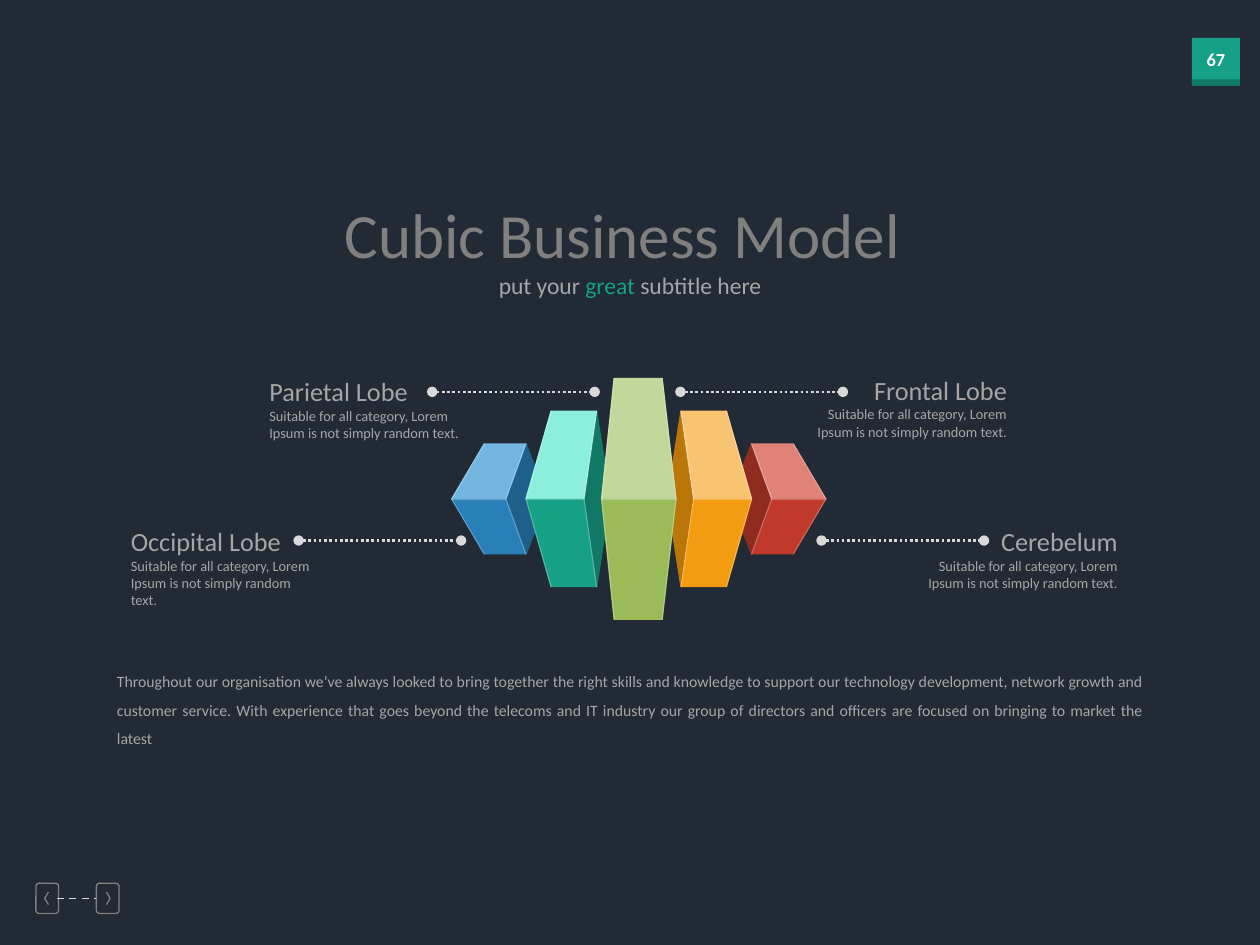
from lxml import etree
from pptx import Presentation
from pptx.dml.color import RGBColor
from pptx.enum.dml import MSO_LINE
from pptx.enum.shapes import MSO_CONNECTOR, MSO_SHAPE
from pptx.enum.text import MSO_ANCHOR, MSO_AUTO_SIZE, PP_ALIGN
from pptx.oxml.ns import qn
from pptx.util import Inches, Pt

LEFT, CENTER, RIGHT, JUSTIFY = PP_ALIGN.LEFT, PP_ALIGN.CENTER, PP_ALIGN.RIGHT, PP_ALIGN.JUSTIFY
DOTTED, DASHED = MSO_LINE.ROUND_DOT, MSO_LINE.DASH

NIGHT = RGBColor(0x22, 0x2A, 0x35)
WHITE = RGBColor(0xFF, 0xFF, 0xFF)
PALE = RGBColor(0xD9, 0xD9, 0xD9)
SILVER = RGBColor(0xA6, 0xA6, 0xA6)
GRAY = RGBColor(0x80, 0x80, 0x80)
GREEN = RGBColor(0x16, 0xA0, 0x85)
DARK_GREEN = RGBColor(0x10, 0x78, 0x64)
MINT = RGBColor(0x8C, 0xEF, 0xDC)
BLUE = RGBColor(0x29, 0x80, 0xB9)
DARK_BLUE = RGBColor(0x1F, 0x60, 0x8B)
SKY = RGBColor(0x74, 0xB5, 0xE0)
RED = RGBColor(0xC0, 0x39, 0x2B)
DARK_RED = RGBColor(0x90, 0x2B, 0x20)
ROSE = RGBColor(0xE1, 0x82, 0x78)
ORANGE = RGBColor(0xF3, 0x9C, 0x12)
DARK_ORANGE = RGBColor(0xBA, 0x76, 0x09)
SAND = RGBColor(0xF8, 0xC4, 0x71)
LIME = RGBColor(0x9B, 0xBB, 0x59)
LIGHT_LIME = RGBColor(0xC3, 0xD6, 0x9B)

FONT = "Calibri"
AXIS, MIDDLE = 5.07, 3.96  # centre of the cubes
EDGE = 0.01  # width of a highlight
BLURB = "Suitable for all category, Lorem Ipsum is not simply random text."
STORY = (
    "Throughout our organisation we’ve always looked to bring together the right skills and "
    "knowledge to support our technology development, network growth and customer service. "
    "With experience that goes beyond the telecoms and IT industry our group of directors and "
    "officers are focused on bringing to market the latest"
)


def place(shape, box):
    shape.left, shape.top, shape.width, shape.height = [Inches(value) for value in box]


def write(shape, text, size, color, align=LEFT, wrap=True, bold=False):
    frame = shape.text_frame
    frame.text = text
    frame.word_wrap = wrap
    frame.auto_size = MSO_AUTO_SIZE.NONE
    frame.vertical_anchor = MSO_ANCHOR.TOP
    para = frame.paragraphs[0]
    para.alignment = align
    for span in para.runs:
        font = span.font
        font.name, font.size, font.bold, font.color.rgb = FONT, Pt(size), bold, color
    return para


def add_text(page, box, *args, **options):
    shape = page.shapes.add_textbox(*[Inches(value) for value in box])
    return write(shape, *args, **options)


def add_block(page, kind, box, color):
    shape = page.shapes.add_shape(kind, *[Inches(value) for value in box])
    shape.shadow.inherit = False
    shape.fill.solid()
    shape.fill.fore_color.rgb = color
    shape.line.fill.background()
    return shape


def add_outline(page, points, close=True):
    corners = [(Inches(x), Inches(y)) for x, y in points]
    builder = page.shapes.build_freeform(*corners[0], scale=1.0)
    builder.add_line_segments(corners[1:], close=close)
    shape = builder.convert_to_shape()
    shape.shadow.inherit = False
    return shape


def add_face(page, points, color, alpha=None):
    shape = add_outline(page, points)
    shape.fill.solid()
    shape.fill.fore_color.rgb = color
    shape.line.fill.background()
    if alpha:
        tint = shape.fill._xPr.find(".//" + qn("a:srgbClr"))
        etree.SubElement(tint, qn("a:alpha")).set("val", str(alpha * 1000))


def add_line(page, x1, x2, y, width, dash, ends=None):
    line = page.shapes.add_connector(
        MSO_CONNECTOR.STRAIGHT, Inches(x1), Inches(y), Inches(x2), Inches(y))
    line.line.color.rgb = PALE
    line.line.width = Pt(width)
    line.line.dash_style = dash
    if ends:
        for tag in ("a:headEnd", "a:tailEnd"):
            etree.SubElement(line.line._ln, qn(tag)).set("type", ends)
    etree.SubElement(line._element.spPr, qn("a:effectLst"))


def add_badge(page, left, top, size):
    """Page number on a tile with a darker foot."""
    add_block(page, MSO_SHAPE.RECTANGLE, (left, top, size, size), GREEN)
    add_block(page, MSO_SHAPE.RECTANGLE, (left, top + size - 0.05, size, 0.05), DARK_GREEN)
    add_text(page, (left, top + 0.03, size, 0.28), "67", 10.5, WHITE, CENTER, False, True)


def add_navigation(page, left, top, width, height):
    """Two arrow keys joined by a dashed line."""
    key, middle = 0.18, top + height / 2
    for x, side in ((left, -1), (left + width - key, 1)):
        frame = page.shapes.add_shape(
            MSO_SHAPE.ROUNDED_RECTANGLE, Inches(x), Inches(top), Inches(key), Inches(height))
        frame.adjustments[0] = 0.14
        frame.shadow.inherit = False
        tip = x + key / 2 + side * 0.02
        back = tip - side * 0.03
        arrow = add_outline(
            page, [(back, middle - 0.05), (tip, middle), (back, middle + 0.05)], False)
        for shape in (frame, arrow):
            shape.fill.background()
            shape.line.color.rgb = GRAY
            shape.line.width = Pt(0.75)
    add_line(page, left + key - 0.01, left + width - key, middle, 1, DASHED)


def add_cube(page, outer, inner, top_outer, top_inner, half, light, main,
             side=None, dark=None, mirror=False):
    """One cube from its left-hand measures, flipped over the axis on request."""
    def flip(points):
        return [(2 * AXIS - x if mirror else x, y) for x, y in points]

    above, below = MIDDLE - half, MIDDLE + half
    if dark:
        add_face(page, flip([(inner, MIDDLE), (top_inner, above), (side, MIDDLE),
                             (top_inner, below)]), dark)
    for end, color in ((above, light), (below, main)):
        add_face(page, flip([(inner, MIDDLE), (top_inner, end), (top_outer, end),
                             (outer, MIDDLE)]), color)
    # Highlights along the middle and both edges
    lower = MIDDLE + EDGE
    strips = [[(outer, MIDDLE), (inner, MIDDLE), (inner, lower), (outer, lower)]]
    for tip, top, shift in ((outer, top_outer, EDGE), (inner, top_inner, -EDGE)):
        strips.append([(top, above), (tip, MIDDLE), (top, below), (top + shift, below),
                       (tip + shift, MIDDLE), (top + shift, above)])
    for strip in strips:
        add_face(page, flip(strip), WHITE, 25)


def add_cubes(page):
    small, large = (3.58, 4.02, 3.84, 4.18, 0.44), (4.17, 4.64, 4.37, 4.74, 0.7)
    add_cube(page, *small, SKY, BLUE, 4.35, DARK_BLUE)
    add_cube(page, *large, MINT, GREEN, 4.85, DARK_GREEN)
    add_cube(page, *small, ROSE, RED, 4.35, DARK_RED, mirror=True)
    add_cube(page, *large, SAND, ORANGE, 4.85, DARK_ORANGE, mirror=True)
    add_cube(page, 4.77, 5.37, 4.87, 5.26, 0.96, LIGHT_LIME, LIME)


def add_callout(page, left, top, width, name, align, line_left, line_y):
    add_text(page, (left, top, width, 0.35), name, 15, SILVER, align)
    add_text(page, (left, top + 0.25, width, 0.52), BLURB, 8.2, SILVER, align)
    add_line(page, line_left, line_left + 1.29, line_y, 1.5, DOTTED, "oval")


def add_headings(page):
    title = page.shapes.title
    place(title, (2.63, 1.5, 4.73, 0.71))
    write(title, "Cubic Business Model ", 36, GRAY, CENTER, False)
    para = add_text(page, (3.86, 2.1, 2.28, 0.33), "put your ", 13.5, SILVER, CENTER)
    for text, color in (("great", GREEN), (" subtitle here", SILVER)):
        span = para.add_run()
        span.text = text
        span.font.name, span.font.size, span.font.color.rgb = FONT, Pt(13.5), color


def main():
    deck = Presentation()
    deck.slide_width, deck.slide_height = Inches(10), Inches(7.5)
    page = deck.slides.add_slide(deck.slide_layouts[5])
    page.background.fill.solid()
    page.background.fill.fore_color.rgb = NIGHT

    add_badge(page, 9.46, 0.3, 0.38)
    add_navigation(page, 0.285, 7.01, 0.66, 0.24)
    add_headings(page)
    story = add_text(page, (0.83, 5.21, 8.33, 0.78), STORY, 9, SILVER, JUSTIFY)
    story.line_spacing = 1.5
    add_cubes(page)
    for callout in (
        (2.04, 2.93, 1.84, "Parietal Lobe", LEFT, 3.43, 3.11),
        (0.94, 4.12, 1.7, "Occipital Lobe", LEFT, 2.37, 4.29),
        (6.38, 2.92, 1.71, "Frontal Lobe", RIGHT, 5.4, 3.11),
        (7.16, 4.12, 1.81, "Cerebelum", RIGHT, 6.52, 4.29),
    ):
        add_callout(page, *callout)
    deck.save("out.pptx")


if __name__ == "__main__":
    main()
